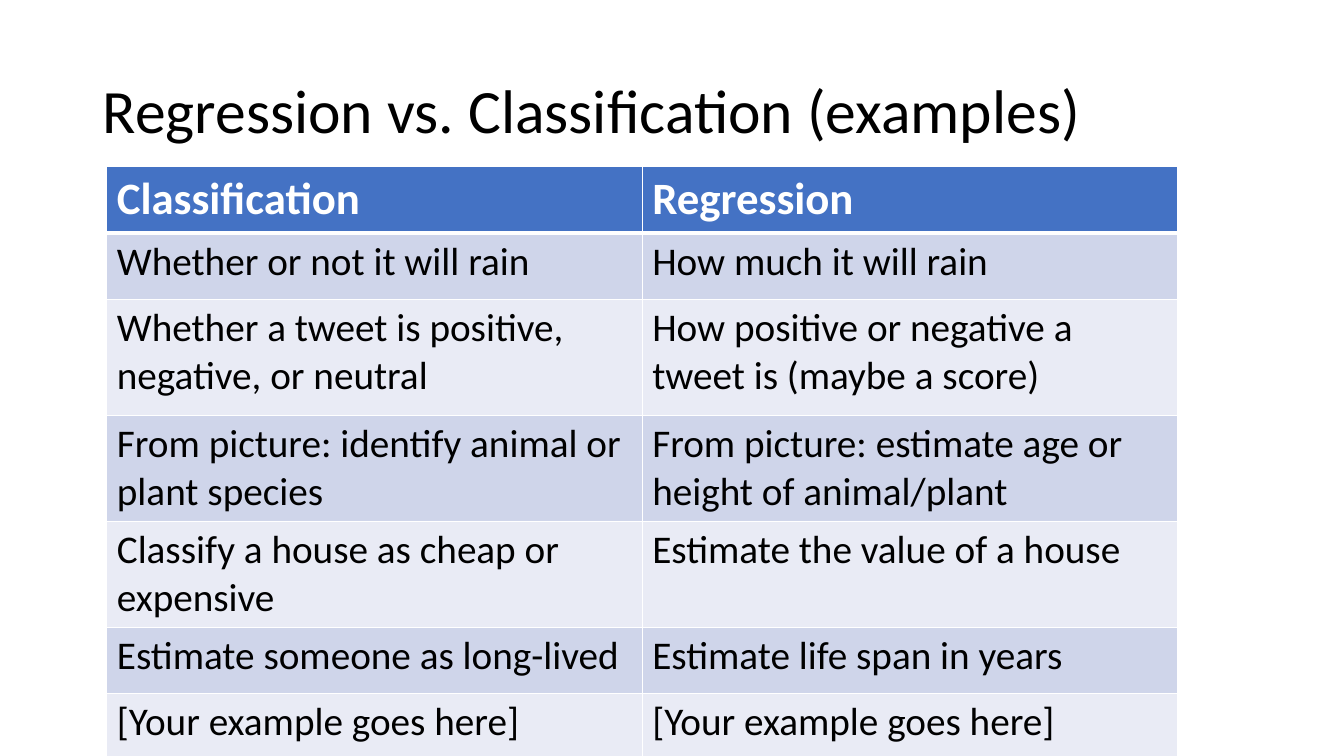
"""Build a slide that compares classification and regression examples in a table."""
from lxml import etree
from pptx import Presentation
from pptx.dml.color import RGBColor
from pptx.enum.text import MSO_ANCHOR, PP_ALIGN
from pptx.oxml.ns import qn
from pptx.util import Inches, Pt

LEFT = PP_ALIGN.LEFT
MIDDLE = MSO_ANCHOR.MIDDLE
FONT = "Calibri"
COLORS = {
    "text": "000000",
    "white": "FFFFFF",
    "header": "4472C4",
    "odd_row": "CFD5EA",
    "even_row": "E9EBF5",
}

TITLE = "Regression vs. Classification (examples)"
HEADER = ("Classification", "Regression")
EXAMPLES = [
    ("Whether or not it will rain", "How much it will rain"),
    ("Whether a tweet is positive, negative, or neutral",
     "How positive or negative a tweet is (maybe a score)"),
    ("From picture: identify animal or plant species",
     "From picture: estimate age or height of animal/plant"),
    ("Classify a house as cheap or expensive", "Estimate the value of a house"),
    ("Estimate someone as long-lived", "Estimate life span in years"),
    ("[Your example goes here]", "[Your example goes here]"),
]
COLUMN_WIDTH = 5.31
ROW_HEIGHT = 0.66
TALL_ROW, TALL_HEIGHT = 2, 1.15


def write_text(text_frame, text, size, color="text", bold=False, line_spacing=None):
    paragraph = text_frame.paragraphs[0]
    paragraph.alignment = LEFT
    paragraph.line_spacing = line_spacing
    run = paragraph.add_run()
    run.text = text
    run.font.name = FONT
    run.font.size = Pt(size)
    run.font.bold = bold
    run.font.color.rgb = RGBColor.from_string(COLORS[color])


def set_borders(cell, top, bottom):
    properties = cell._tc.get_or_add_tcPr()
    for tag, width in (("a:lnL", 1), ("a:lnR", 1), ("a:lnT", top), ("a:lnB", bottom)):
        line = etree.SubElement(properties, qn(tag), w=str(Pt(width)))
        fill = etree.SubElement(line, qn("a:solidFill"))
        etree.SubElement(fill, qn("a:srgbClr"), val=COLORS["white"])


def add_title(slide):
    title = slide.shapes.title
    title.left, title.top = Inches(0.92), Inches(0.4)
    title.width, title.height = Inches(11.5), Inches(1.45)
    title.text_frame.word_wrap = True
    title.text_frame.vertical_anchor = MIDDLE
    write_text(title.text_frame, TITLE, 44, line_spacing=0.9)


def add_examples_table(slide):
    rows = [HEADER, *EXAMPLES]
    heights = [TALL_HEIGHT if index == TALL_ROW else ROW_HEIGHT for index in range(len(rows))]
    table = slide.shapes.add_table(
        len(rows), len(HEADER), Inches(1.06), Inches(1.65),
        Inches(COLUMN_WIDTH * len(HEADER)), Inches(sum(heights))).table
    for column in table.columns:
        column.width = Inches(COLUMN_WIDTH)
    for index, texts in enumerate(rows):
        table.rows[index].height = Inches(heights[index])
        is_header = index == 0
        fill = "header" if is_header else "odd_row" if index % 2 else "even_row"
        for cell, text in zip(table.rows[index].cells, texts):
            set_borders(cell, top=3 if index == 1 else 1, bottom=3 if is_header else 1)
            cell.fill.solid()
            cell.fill.fore_color.rgb = RGBColor.from_string(COLORS[fill])
            write_text(cell.text_frame, text, 32 if is_header else 28,
                       color="white" if is_header else "text", bold=is_header)


def main():
    presentation = Presentation()
    presentation.slide_width, presentation.slide_height = Inches(13.33), Inches(7.5)
    slide = presentation.slides.add_slide(presentation.slide_layouts[5])
    add_title(slide)
    add_examples_table(slide)
    presentation.save("out.pptx")


if __name__ == "__main__":
    main()
